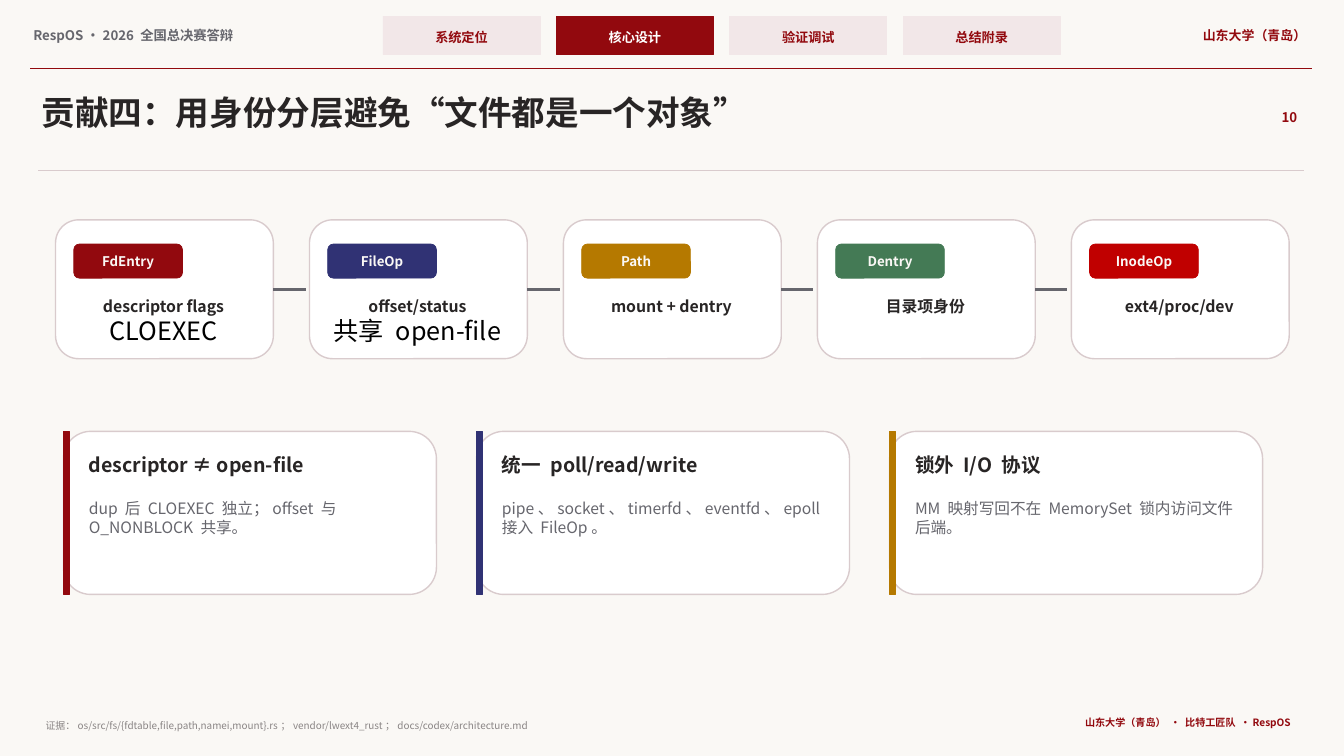
from lxml import etree
from pptx import Presentation
from pptx import util as u
from pptx.dml import color
from pptx.enum import shapes, text
from pptx.oxml import ns

RED, BLUE, GOLD, GREEN, SCARLET = "92090E", "303274", "B57900", "447A55", "C00000"
INK, GREY, PALE, EDGE = "282525", "66666D", "FAF8F5", "D9CBCD"
ROSE, WHITE, MUTED, BLACK = "F2E7E8", "FFFFFF", "8A8585", "000000"
LEFT, MID, RIGHT = text.PP_ALIGN.LEFT, text.PP_ALIGN.CENTER, text.PP_ALIGN.RIGHT
RECT, ROUND = shapes.MSO_SHAPE.RECTANGLE, shapes.MSO_SHAPE.ROUNDED_RECTANGLE


def rgb(code):
    return color.RGBColor.from_string(code)


class Page:
    face = "Noto Sans CJK SC"
    inset = u.Cm(0.08)

    def __init__(self, deck):
        self.slide = deck.slides.add_slide(deck.slide_layouts[6])
        fill = self.slide.background.fill
        fill.solid()
        fill.fore_color.rgb = rgb(PALE)

    def style(self, font, size, ink, bold):
        font.name = self.face
        font.size = u.Pt(size)
        font.bold = bold
        font.color.rgb = rgb(ink)

    def box(self, kind, x, y, w, h, fill, edge=None, width=0.5):
        shape = self.slide.shapes.add_shape(kind, u.Cm(x), u.Cm(y), u.Cm(w), u.Cm(h))
        shape.shadow.inherit = False
        shape.fill.solid()
        shape.fill.fore_color.rgb = rgb(fill)
        shape.line.color.rgb = rgb(edge or fill)
        shape.line.width = u.Pt(width)
        return shape

    def label(self, x, y, w, h, words, size, ink, bold=True, align=LEFT, extra=None):
        frame = self.slide.shapes.add_textbox(u.Cm(x), u.Cm(y), u.Cm(w), u.Cm(h)).text_frame
        frame.word_wrap = True
        frame.auto_size = text.MSO_AUTO_SIZE.SHAPE_TO_FIT_TEXT
        frame.margin_left = frame.margin_right = self.inset
        frame.margin_top = frame.margin_bottom = self.inset
        para = frame.paragraphs[0]
        para.alignment = align
        first = para.add_run()
        first.text = words
        if extra:
            self.style(first.font, size, ink, bold)
            para.add_line_break()
            second = para.add_run()
            second.text = extra
            self.style(second.font, 18, BLACK, False)
        else:
            self.style(para.font, size, ink, bold)

    def rule(self, x, y, end, ink, width, start=None):
        line = self.slide.shapes.add_connector(
            shapes.MSO_CONNECTOR.STRAIGHT, u.Cm(x), u.Cm(y), u.Cm(end), u.Cm(y))
        line.line.color.rgb = rgb(ink)
        line.line.width = u.Pt(width)
        etree.SubElement(line._element.spPr, ns.qn("a:effectLst"))
        if start is not None:
            line.begin_connect(start, 3)

    def tab(self, x, name, active):
        self.box(RECT, x, 0.41, 3.96, 0.97, RED if active else ROSE)
        self.label(x + 0.15, 0.66, 3.66, 0.46, name, 9.4, WHITE if active else RED, align=MID)

    def node(self, x, name, hue, note, extra, linked):
        frame = self.box(ROUND, x, 5.54, 5.49, 3.5, WHITE, EDGE, 1)
        self.box(ROUND, x + 0.46, 6.15, 2.74, 0.86, hue)
        self.label(x + 0.61, 6.3, 2.44, 0.53, name, 9.5, PALE, align=MID)
        self.label(x + 0.46, 7.39, 4.52, 1.19, note, 11.3, INK, align=MID, extra=extra)
        if linked:
            self.rule(x + 5.49, 7.29, x + 6.3, GREY, 2, frame)

    def card(self, x, hue, head, body):
        self.box(ROUND, x, 10.87, 9.4, 4.11, WHITE, EDGE, 1)
        self.box(RECT, x, 10.87, 0.15, 4.11, hue)
        self.label(x + 0.56, 11.33, 8.43, 0.86, head, 14, INK)
        self.label(x + 0.56, 12.5, 8.38, 2.13, body, 11.2, GREY, False)


TABS = ["系统定位", "核心设计", "验证调试", "总结附录"]
NODES = [
    ("FdEntry", RED, "descriptor flags", "CLOEXEC"),
    ("FileOp", BLUE, "offset/status", "共享 open-file"),
    ("Path", GOLD, "mount + dentry", None),
    ("Dentry", GREEN, "目录项身份", None),
    ("InodeOp", SCARLET, "ext4/proc/dev", None),
]
CARDS = [
    (RED, "descriptor ≠ open-file", "dup 后 CLOEXEC 独立；offset 与 O_NONBLOCK 共享。"),
    (BLUE, "统一 poll/read/write", "pipe、socket、timerfd、eventfd、epoll 接入 FileOp。"),
    (GOLD, "锁外 I/O 协议", "MM 映射写回不在 MemorySet 锁内访问文件后端。"),
]


def main():
    deck = Presentation()
    deck.slide_width, deck.slide_height = u.Cm(33.87), u.Cm(19.05)
    page = Page(deck)

    page.label(0.76, 0.61, 8.51, 0.61, "RespOS · 2026 全国总决赛答辩", 9.5, GREY)
    for i, name in enumerate(TABS):
        page.tab(9.65 + 4.37 * i, name, i == 1)
    page.label(28.83, 0.61, 4.17, 0.61, "山东大学（青岛）", 9.2, RED, align=RIGHT)
    page.rule(0.76, 1.73, 33.07, RED, 1.1)

    page.label(0.97, 2.24, 30.1, 1.22, "贡献四：用身份分层避免“文件都是一个对象”", 24, INK)
    page.label(31.7, 2.67, 1.07, 0.61, "10", 9.5, RED, align=RIGHT)
    page.rule(0.97, 4.29, 32.87, EDGE, 0.9)

    for i, node in enumerate(NODES):
        page.node(1.4 + 6.4 * i, *node, linked=i < len(NODES) - 1)
    for i, card in enumerate(CARDS):
        page.card(1.6 + 10.41 * i, *card)

    page.label(
        1.07, 18.06, 24.64, 0.43,
        "证据：os/src/fs/{fdtable,file,path,namei,mount}.rs；vendor/lwext4_rust；docs/codex/architecture.md",
        7.1, MUTED, False)
    page.label(24.69, 17.98, 7.92, 0.51, "山东大学（青岛） · 比特工匠队 · RespOS", 7.2, RED, align=RIGHT)
    deck.save("out.pptx")


if __name__ == "__main__":
    main()
